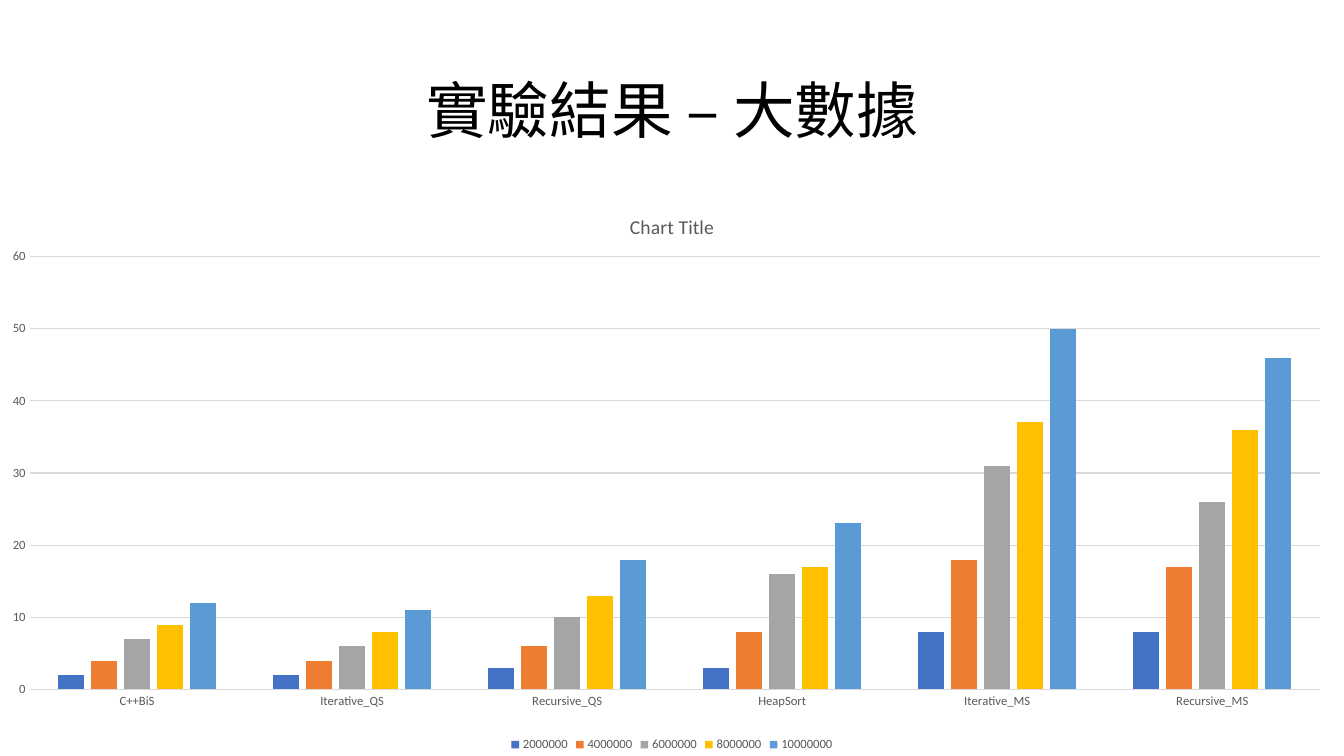
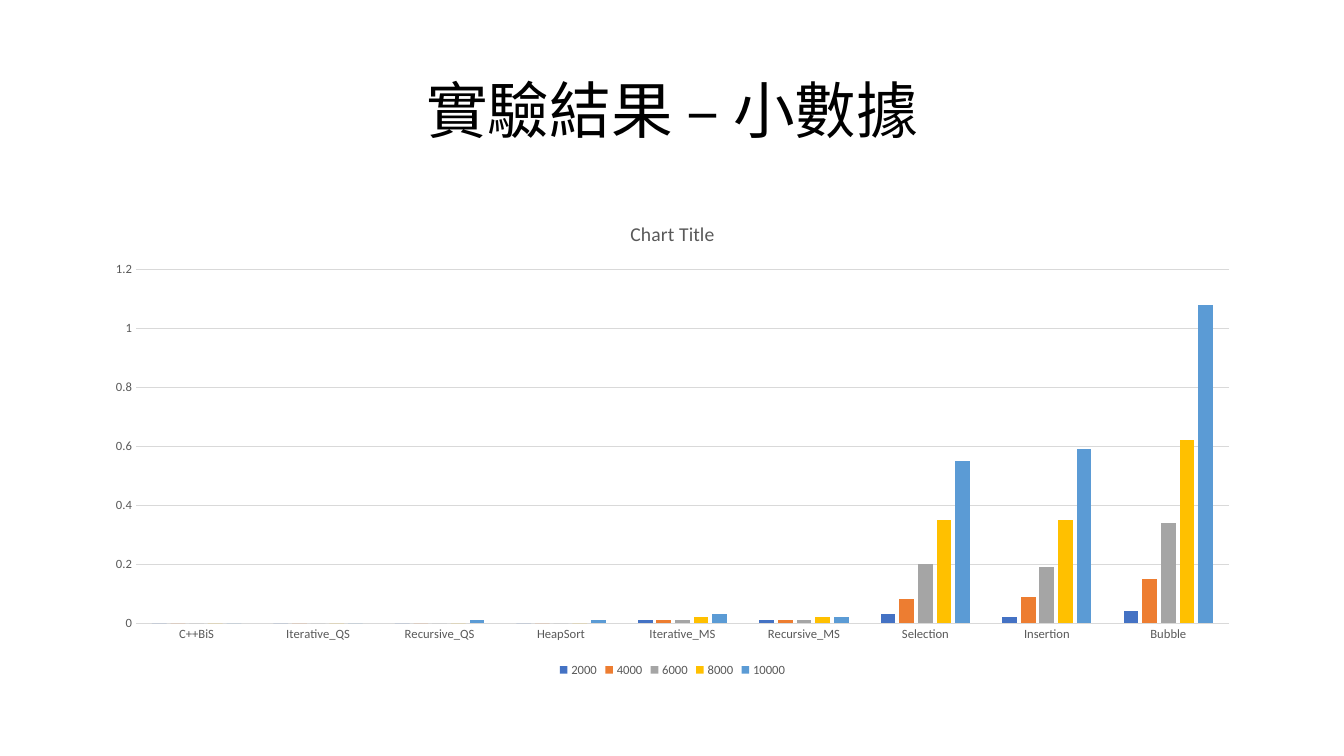
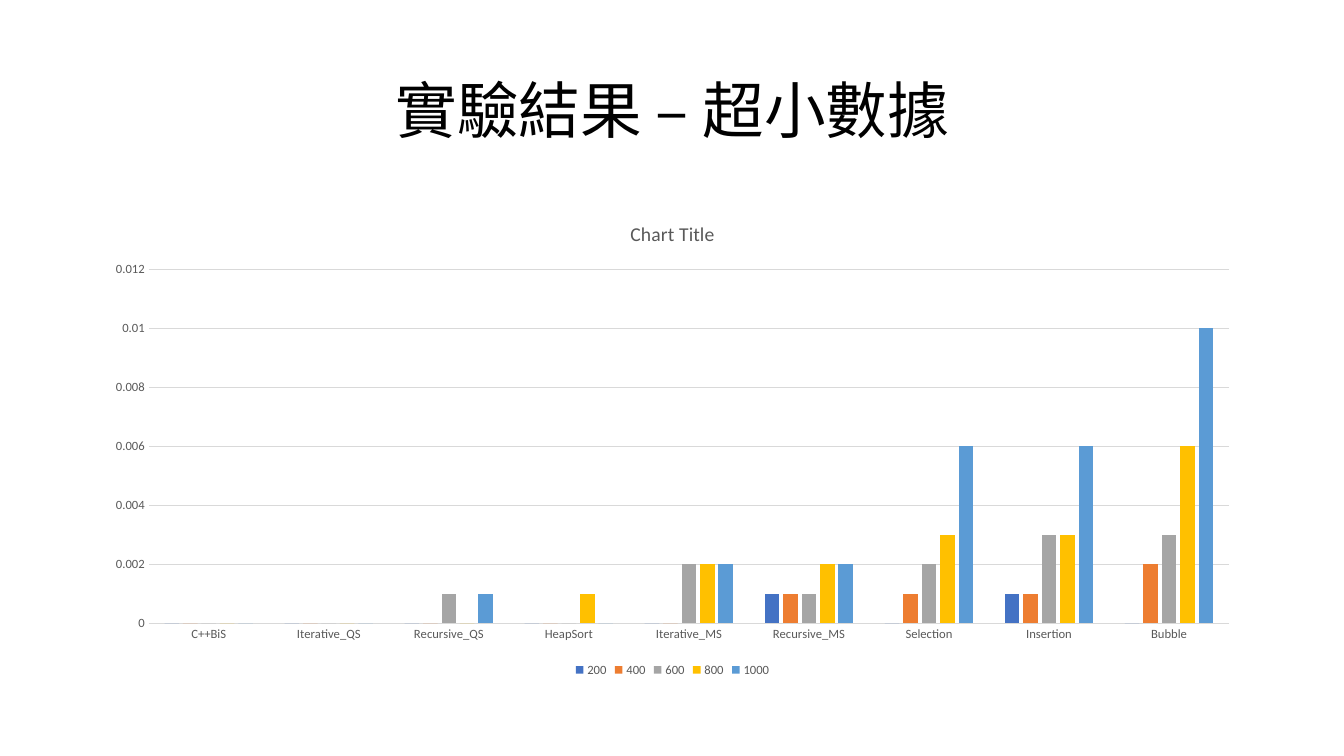
"""Build three slides that chart sorting times for large, small and tiny inputs."""
from dataclasses import dataclass
from typing import Optional

from pptx import Presentation, oxml
from pptx import util as u
from pptx.chart import data as chart_data
from pptx.chart.chart import Chart
from pptx.dml.color import RGBColor
from pptx.enum import chart as chart_enum
from pptx.enum import text
from pptx.oxml import ns
from pptx.slide import Slide

FONT = "Calibri"
BLACK = RGBColor(0x00, 0x00, 0x00)
GRAY = RGBColor(0x59, 0x59, 0x59)
GRID = RGBColor(0xD9, 0xD9, 0xD9)
SERIES_COLORS = (
    RGBColor(0x44, 0x72, 0xC4),
    RGBColor(0xED, 0x7D, 0x31),
    RGBColor(0xA5, 0xA5, 0xA5),
    RGBColor(0xFF, 0xC0, 0x00),
    RGBColor(0x5B, 0x9B, 0xD5),
)
TITLE_AREA = (0.92, 0.4, 11.5, 1.45)
BODY_AREA = (0.92, 2, 11.5, 4.76)
FAST_SORTS = ("C++BiS", "Iterative_QS", "Recursive_QS", "HeapSort", "Iterative_MS", "Recursive_MS")
ALL_SORTS = FAST_SORTS + ("Selection", "Insertion", "Bubble")

Area = tuple[float, float, float, float]


@dataclass(frozen=True)
class Experiment:
    """One slide: its title, the sorts compared and the times by input size."""

    title: str
    sorts: tuple[str, ...]
    times: dict[str, tuple[float, ...]]
    axis_top: float
    axis_step: float
    area: Area = BODY_AREA
    plot_area: Optional[Area] = None


EXPERIMENTS = (
    Experiment(
        "實驗結果 – 大數據",
        FAST_SORTS,
        {
            "2000000": (2, 2, 3, 3, 8, 8),
            "4000000": (4, 4, 6, 8, 18, 17),
            "6000000": (7, 6, 10, 16, 31, 26),
            "8000000": (9, 8, 13, 17, 37, 36),
            "10000000": (12, 11, 18, 23, 50, 46),
        },
        axis_top=60,
        axis_step=10,
        area=(0, 1.92, 13.33, 5.58),
        plot_area=(0.022, 0.112, 0.96, 0.77),
    ),
    Experiment(
        "實驗結果 – 小數據",
        ALL_SORTS,
        {
            "2000": (0, 0, 0, 0, 0.01, 0.01, 0.03, 0.02, 0.04),
            "4000": (0, 0, 0, 0, 0.01, 0.01, 0.08, 0.09, 0.15),
            "6000": (0, 0, 0, 0, 0.01, 0.01, 0.2, 0.19, 0.34),
            "8000": (0, 0, 0, 0, 0.02, 0.02, 0.35, 0.35, 0.62),
            "10000": (0, 0, 0.01, 0.01, 0.03, 0.02, 0.55, 0.59, 1.08),
        },
        axis_top=1.2,
        axis_step=0.2,
    ),
    Experiment(
        "實驗結果 – 超小數據",
        ALL_SORTS,
        {
            "200": (0, 0, 0, 0, 0, 0.001, 0, 0.001, 0),
            "400": (0, 0, 0, 0, 0, 0.001, 0.001, 0.001, 0.002),
            "600": (0, 0, 0.001, 0, 0.002, 0.001, 0.002, 0.003, 0.003),
            "800": (0, 0, 0, 0.001, 0.002, 0.002, 0.003, 0.003, 0.006),
            "1000": (0, 0, 0.001, 0, 0.002, 0.002, 0.006, 0.006, 0.01),
        },
        axis_top=0.012,
        axis_step=0.002,
    ),
)


def inches(area: Area) -> list[u.Inches]:
    """Convert left, top, width and height to lengths."""
    return [u.Inches(length) for length in area]


def style_font(font: text.MSO_ANCHOR, size: float, color: RGBColor) -> None:
    """Apply the deck's typeface with a size and colour."""
    font.name, font.size, font.bold = FONT, u.Pt(size), False
    font.color.rgb = color


def add_title(slide: Slide, words: str) -> None:
    """Fill and format the title placeholder."""
    title = slide.shapes.title
    title.left, title.top, title.width, title.height = inches(TITLE_AREA)
    frame = title.text_frame
    frame.text = words
    frame.vertical_anchor = text.MSO_ANCHOR.MIDDLE
    para = frame.paragraphs[0]
    para.alignment = text.PP_ALIGN.CENTER
    para.line_spacing = 0.9
    style_font(para.runs[0].font, 44, BLACK)


def place_plot(chart: Chart, area: Area) -> None:
    """Fix the inner plot area as fractions of the chart."""
    plot = chart.element.find(f".//{ns.qn('c:plotArea')}")
    for layout in plot.findall(ns.qn("c:layout")):
        plot.remove(layout)
    modes = "".join(f'<c:{side}Mode val="edge"/>' for side in "xy")
    sizes = "".join(f'<c:{side} val="{value}"/>' for side, value in zip("xywh", area))
    plot.insert(0, oxml.parse_xml(
        f'<c:layout {ns.nsdecls("c")}><c:manualLayout><c:layoutTarget val="inner"/>'
        f"{modes}{sizes}</c:manualLayout></c:layout>"
    ))


def style_axes(chart: Chart, top: float, step: float) -> None:
    """Format both axes and the value gridlines."""
    for axis in (chart.category_axis, chart.value_axis):
        axis.major_tick_mark = axis.minor_tick_mark = chart_enum.XL_TICK_MARK.NONE
        style_font(axis.tick_labels.font, 9, GRAY)
    values = chart.value_axis
    values.minimum_scale, values.maximum_scale, values.major_unit = 0, top, step
    values.format.line.fill.background()
    for line in (chart.category_axis.format.line, values.major_gridlines.format.line):
        line.color.rgb = GRID
        line.width = u.Pt(0.75)


def add_column_chart(slide: Slide, experiment: Experiment) -> None:
    """Draw the clustered columns with their title and legend."""
    data = chart_data.CategoryChartData()
    data.categories = experiment.sorts
    for size, times in experiment.times.items():
        data.add_series(size, times)
    chart = slide.shapes.add_chart(
        chart_enum.XL_CHART_TYPE.COLUMN_CLUSTERED, *inches(experiment.area), data
    ).chart
    style_font(chart.font, 10, BLACK)
    heading = chart.chart_title.text_frame
    heading.text = "Chart Title"
    style_font(heading.paragraphs[0].runs[0].font, 14, GRAY)
    chart.chart_title.include_in_layout = False
    chart.has_legend = True
    chart.legend.position = chart_enum.XL_LEGEND_POSITION.BOTTOM
    chart.legend.include_in_layout = False
    style_font(chart.legend.font, 9, GRAY)
    style_axes(chart, experiment.axis_top, experiment.axis_step)
    columns = chart.plots[0]
    columns.gap_width, columns.overlap, columns.vary_by_categories = 219, -27, False
    for series, color in zip(columns.series, SERIES_COLORS):
        series.format.fill.solid()
        series.format.fill.fore_color.rgb = color
    if experiment.plot_area:
        place_plot(chart, experiment.plot_area)


def main() -> None:
    """Build and save the deck."""
    deck = Presentation()
    deck.slide_width, deck.slide_height = u.Inches(13.33), u.Inches(7.5)
    title_only = deck.slide_layouts.get_by_name("Title Only")
    for experiment in EXPERIMENTS:
        slide = deck.slides.add_slide(title_only)
        add_title(slide, experiment.title)
        add_column_chart(slide, experiment)
    deck.save("out.pptx")


main()
